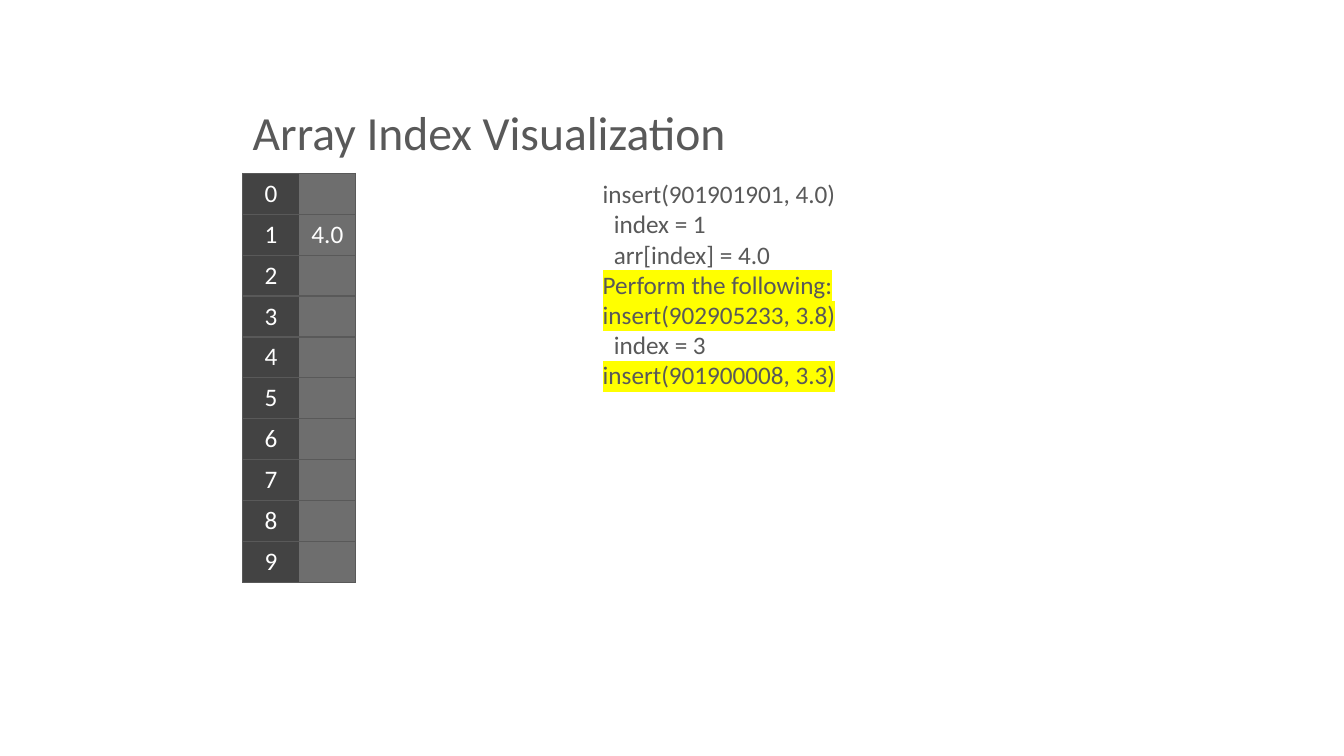
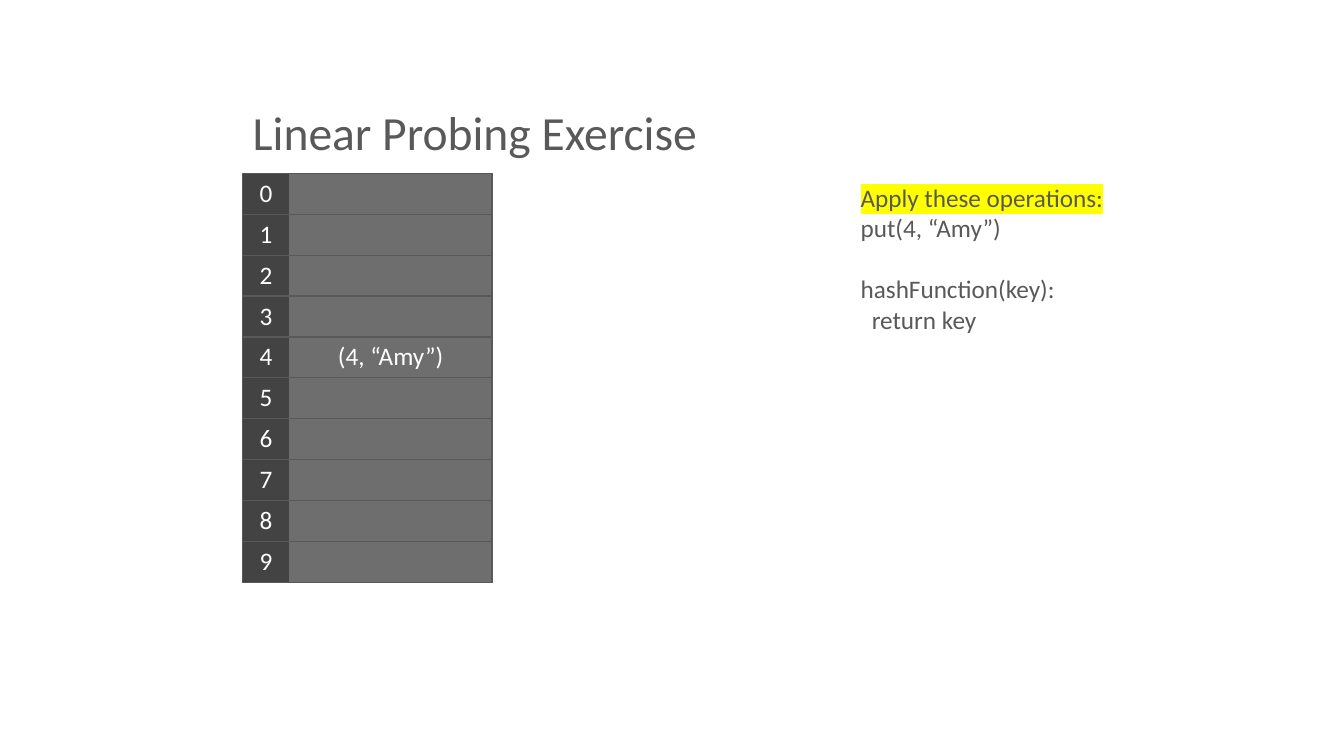
from dataclasses import dataclass

import pptx
import pptx.dml.color
import pptx.enum.text
import pptx.oxml
import pptx.oxml.ns
import pptx.util

Cm = pptx.util.Cm
Pt = pptx.util.Pt

# Shared style
FONT = "Calibri"
GREY = "595959"
WHITE = "FFFFFF"
INDEX_FILL = "434343"
VALUE_FILL = "6E6E6E"
YELLOW = "FFFF00"
BODY_SIZE = 18
LEFT = 6.12
ARRAY_TOP = 4.37
ROW_HEIGHT = 1.03
ARRAY_LENGTH = 10
INDENT = 0.28


@dataclass(frozen=True)
class Line:
    text: str
    marked: bool = False
    indented: bool = False
    space_before: float = 0


@dataclass(frozen=True)
class ArraySlide:
    title: str
    index_width: float
    value_width: float
    values: dict[int, str]
    steps_box: tuple[float, float, float, float]
    steps: list[Line]


SLIDES = [
    ArraySlide(
        "Array Index Visualization", 1.42, 1.42, {1: "4.0"},
        (14.94, 4.37, 7.14, 5.64),
        [
            Line("insert(901901901, 4.0)"),
            Line("index = 1", indented=True),
            Line("arr[index] = 4.0", indented=True),
            Line("Perform the following:", marked=True),
            Line("insert(902905233, 3.8)", marked=True),
            Line("index = 3", indented=True),
            Line("insert(901900008, 3.3)", marked=True),
        ],
    ),
    ArraySlide(
        "Linear Probing Exercise", 1.17, 5.11, {4: "(4, “Amy”)"},
        (21.44, 4.47, 7.39, 4.11),
        [
            Line("Apply these operations:", marked=True),
            Line("put(4, “Amy”)"),
            Line("hashFunction(key):", space_before=22),
            Line("return key", indented=True),
        ],
    ),
]


def rgb(colour: str) -> pptx.dml.color.RGBColor:
    return pptx.dml.color.RGBColor.from_string(colour)


def set_font(paragraph, size: float, colour: str) -> None:
    paragraph.font.name = FONT
    paragraph.font.size = Pt(size)
    paragraph.font.color.rgb = rgb(colour)


def add_text_frame(slide, left: float, top: float, width: float, height: float):
    box = slide.shapes.add_textbox(Cm(left), Cm(top), Cm(width), Cm(height))
    box.text_frame.word_wrap = True
    return box.text_frame


def highlight(run, colour: str) -> None:
    run.font._element.append(pptx.oxml.parse_xml(
        f'<a:highlight {pptx.oxml.ns.nsdecls("a")}>'
        f'<a:srgbClr val="{colour}"/></a:highlight>'))


def set_borders(cell, sides: str) -> None:
    """Rule the given sides (from "LRTB") and clear the others."""
    properties = cell._tc.get_or_add_tcPr()
    for side in "LRTB":
        if side in sides:
            paint = f'<a:solidFill><a:srgbClr val="{GREY}"/></a:solidFill>'
        else:
            paint = "<a:noFill/>"
        properties.append(pptx.oxml.parse_xml(
            f'<a:ln{side} {pptx.oxml.ns.nsdecls("a")} w="{Pt(1)}">{paint}</a:ln{side}>'))


def add_title(slide, title: str) -> None:
    frame = add_text_frame(slide, LEFT, 0.84, 26.04, 3.33)
    frame.vertical_anchor = pptx.enum.text.MSO_ANCHOR.BOTTOM
    paragraph = frame.paragraphs[0]
    paragraph.text = title
    paragraph.line_spacing = 0.9
    set_font(paragraph, 34, GREY)


def fill_cell(cell, text: str, fill: str, borders: str) -> None:
    set_borders(cell, borders)
    cell.fill.solid()
    cell.fill.fore_color.rgb = rgb(fill)
    paragraph = cell.text_frame.paragraphs[0]
    paragraph.text = text
    paragraph.alignment = pptx.enum.text.PP_ALIGN.CENTER
    set_font(paragraph, BODY_SIZE, WHITE)


def add_array(slide, content: ArraySlide) -> None:
    widths = (content.index_width, content.value_width)
    array = slide.shapes.add_table(
        ARRAY_LENGTH, 2, Cm(LEFT), Cm(ARRAY_TOP),
        Cm(sum(widths)), Cm(ROW_HEIGHT * ARRAY_LENGTH)).table
    array.first_row = False
    array.horz_banding = False
    for column, width in zip(array.columns, widths):
        column.width = Cm(width)
    for index, row in enumerate(array.rows):
        row.height = Cm(ROW_HEIGHT)
        fill_cell(array.cell(index, 0), str(index), INDEX_FILL, "LTB")
        fill_cell(array.cell(index, 1), content.values.get(index, ""), VALUE_FILL, "RTB")


def add_steps(slide, content: ArraySlide) -> None:
    frame = add_text_frame(slide, *content.steps_box)
    for number, line in enumerate(content.steps):
        paragraph = frame.add_paragraph() if number else frame.paragraphs[0]
        run = paragraph.add_run()
        run.text = line.text
        if line.marked:
            highlight(run, YELLOW)
        if line.indented:
            paragraph._p.get_or_add_pPr().set("marL", str(Cm(INDENT)))
        if line.space_before:
            paragraph.space_before = Pt(line.space_before)
        set_font(paragraph, BODY_SIZE, GREY)


def main() -> None:
    deck = pptx.Presentation()
    deck.slide_width = Cm(33.87)
    deck.slide_height = Cm(19.05)
    for content in SLIDES:
        slide = deck.slides.add_slide(deck.slide_layouts[6])
        add_title(slide, content.title)
        add_array(slide, content)
        add_steps(slide, content)
    deck.save("out.pptx")


if __name__ == "__main__":
    main()
